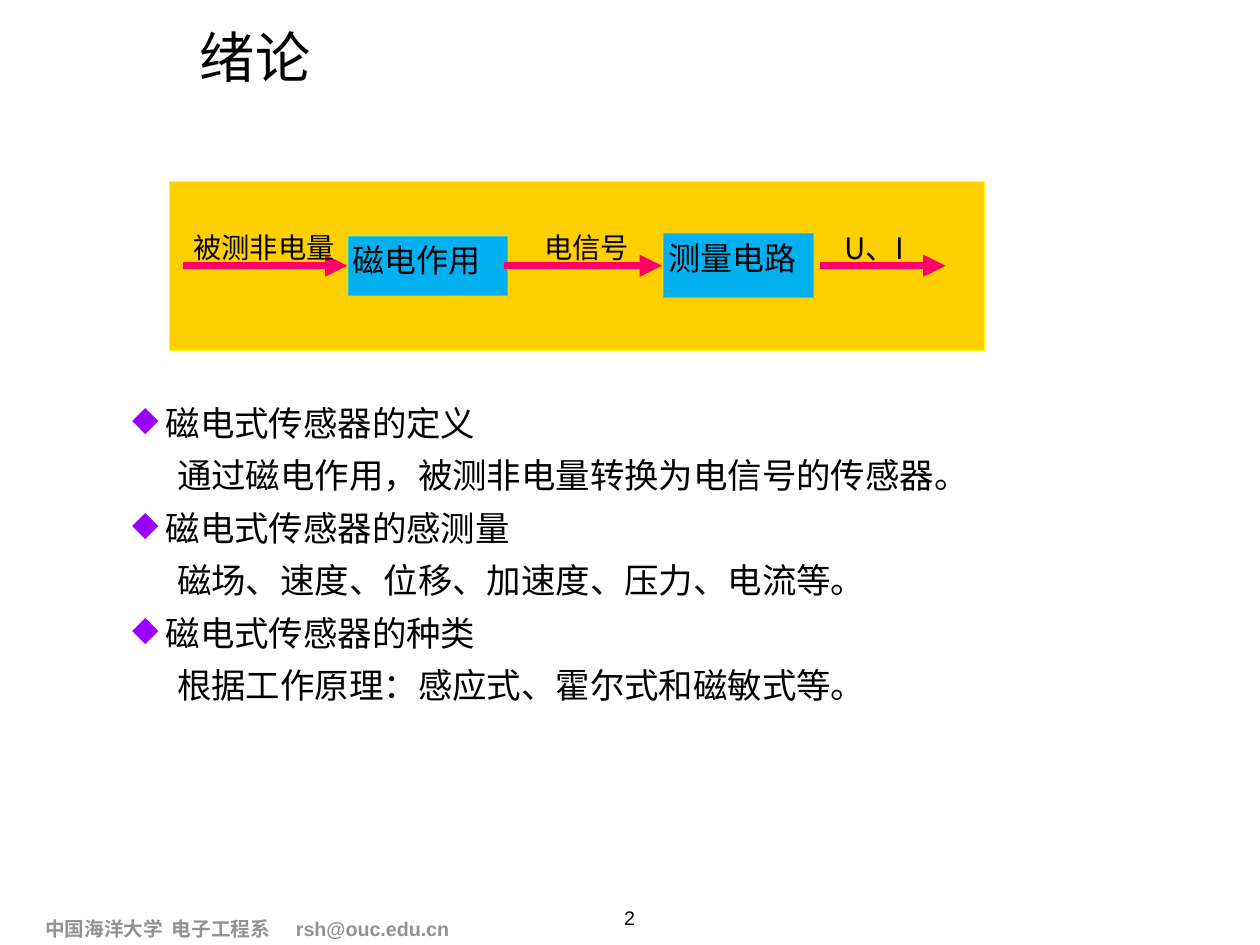
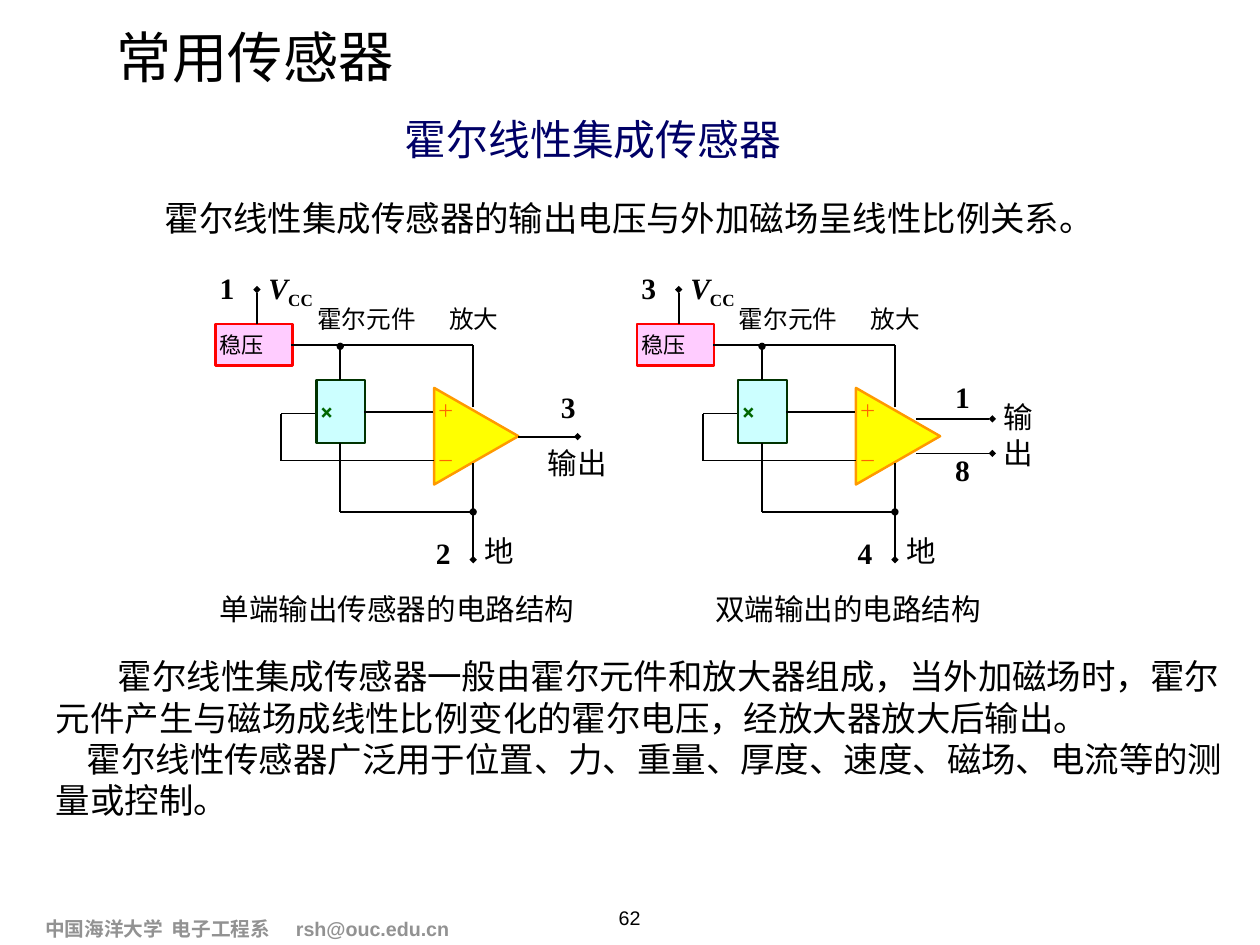
from lxml import etree
from pptx import Presentation
from pptx.dml.color import RGBColor
from pptx.enum.shapes import MSO_CONNECTOR, MSO_SHAPE
from pptx.enum.text import MSO_ANCHOR, PP_ALIGN
from pptx.oxml.ns import qn
from pptx.util import Inches, Pt

RECT, TRIANGLE = MSO_SHAPE.RECTANGLE, MSO_SHAPE.ISOSCELES_TRIANGLE
STRAIGHT = MSO_CONNECTOR.STRAIGHT
LEFT, CENTER = PP_ALIGN.LEFT, PP_ALIGN.CENTER
TOP, MIDDLE = MSO_ANCHOR.TOP, MSO_ANCHOR.MIDDLE

CJK, SANS, SERIF = "Noto Sans CJK SC", "Arial", "Times New Roman"
COLORS = {
    "text": "000000", "footer": "929292", "heading": "000066",
    "panel": "FFCF01", "panel_line": "FFFF00",
    "block": "00B0F0", "block_line": "33CCCC", "arrow": "FF0066",
    "bullet": "9900FF", "amp": "FFFF00", "amp_line": "FF9900", "sign": "FF6600",
    "hall": "CCFFFF", "hall_line": "003300", "cross": "006600",
    "regulator": "FFCCFF", "regulator_line": "FF0000",
}


def rgb(name):
    return RGBColor.from_string(COLORS[name])


class Deck:
    def __init__(self):
        self.prs = Presentation()
        self.prs.slide_width, self.prs.slide_height = Inches(14.22), Inches(10.67)
        self.s = None

    def slide(self, title, number):
        self.s = self.prs.slides.add_slide(self.prs.slide_layouts[6])
        tf = self.text(0.45, 10.3, 4.99, 0.38, "中国海洋大学\t电子工程系\trsh@ouc.edu.cn",
                       16, font=SANS, color="footer", bold=True, anchor=MIDDLE, inset=0.06)
        pPr = tf.paragraphs[0]._p.get_or_add_pPr()
        tabs = etree.SubElement(pPr, qn("a:tabLst"))
        for pos in (1.43, 2.83):
            etree.SubElement(tabs, qn("a:tab"), pos=str(Inches(pos)), algn="l")
        self.text(0.45, 0.03, 4.86, 1.2, title, 45, align=CENTER, anchor=MIDDLE,
                  inset=0.06, rotation=-0.4)
        self.text(6.92, 10.17, 0.37, 0.35, number, 16, font=SANS, align=CENTER,
                  inset=0.06, wrap=False)

    def frame(self, tf, anchor=TOP, inset=0.05, wrap=True):
        tf.word_wrap = wrap
        tf.vertical_anchor = anchor
        tf.margin_left = tf.margin_right = tf.margin_top = tf.margin_bottom = Inches(inset)

    def run(self, p, text, size, font=CJK, color="text", bold=False, italic=False, base=0):
        r = p.add_run()
        r.text = text
        f = r.font
        f.size, f.name, f.bold, f.italic = Pt(size), font, bold, italic
        f.color.rgb = rgb(color)
        rPr = r._r.get_or_add_rPr()
        etree.SubElement(rPr, qn("a:ea"), typeface=CJK)
        if base:
            rPr.set("baseline", str(base * 1000))

    def indent(self, p, first, left=0):
        pPr = p._p.get_or_add_pPr()
        pPr.set("marL", str(Inches(left)))
        pPr.set("indent", str(Inches(first)))

    def bullet(self, p, width):
        self.indent(p, -width, width)
        pPr = p._p.get_or_add_pPr()
        clr = etree.SubElement(pPr, qn("a:buClr"))
        etree.SubElement(clr, qn("a:srgbClr"), val=COLORS["bullet"])
        etree.SubElement(pPr, qn("a:buChar"), char="◆")

    def box(self, x, y, w, h, rotation=0, **frame):
        tb = self.s.shapes.add_textbox(Inches(x), Inches(y), Inches(w), Inches(h))
        tb.rotation = rotation
        self.frame(tb.text_frame, **frame)
        return tb.text_frame

    def text(self, x, y, w, h, text, size, align=LEFT, first=0, anchor=TOP,
             inset=0.05, wrap=True, rotation=0, **style):
        tf = self.box(x, y, w, h, rotation, anchor=anchor, inset=inset, wrap=wrap)
        p = tf.paragraphs[0]
        p.alignment = align
        if first:
            self.indent(p, first)
        self.run(p, text, size, **style)
        return tf

    def shape(self, kind, x, y, w, h, fill, width=1, text="", size=18, anchor=TOP,
              rotation=0, **style):
        sp = self.s.shapes.add_shape(kind, Inches(x), Inches(y), Inches(w), Inches(h))
        sp.shadow.inherit = False
        sp.rotation = rotation
        sp.fill.solid()
        sp.fill.fore_color.rgb = rgb(fill)
        sp.line.color.rgb = rgb(fill + "_line")
        sp.line.width = Pt(width)
        if text:
            self.frame(sp.text_frame, anchor)
            p = sp.text_frame.paragraphs[0]
            p.alignment = LEFT
            self.run(p, text, size, **style)

    def line(self, x1, y1, x2, y2, head="", tail="", color="text", width=1.5):
        c = self.s.shapes.add_connector(STRAIGHT, Inches(x1), Inches(y1), Inches(x2), Inches(y2))
        c.line.color.rgb = rgb(color)
        c.line.width = Pt(width)
        ln = c.line._get_or_add_ln()
        for tag, kind in (("a:headEnd", head), ("a:tailEnd", tail)):
            if kind:
                etree.SubElement(ln, qn(tag), type=kind)
        etree.SubElement(c._element.spPr, qn("a:effectLst"))

    def pin(self, x, y, number):
        self.text(x, y, 0.47, 0.46, number, 24, font=SERIF, bold=True)

    def circuit(self, dx, supply, ground):
        self.shape(TRIANGLE, 4.83 + dx, 4.45, 1.09, 0.95, "amp", 2, rotation=90)
        for y, sign in ((5.08, "－"), (4.52, "＋")):
            self.text(4.94 + dx, y, 0.27, 0.28, sign, 14, color="sign", inset=0)
        self.shape(RECT, 3.57 + dx, 4.29, 0.55, 0.71, "hall", 2, "×",
                   anchor=MIDDLE, font="Roboto", color="cross", bold=True)
        self.shape(RECT, 2.43 + dx, 3.66, 0.87, 0.47, "regulator", 2, "稳压", anchor=MIDDLE)
        for x1, y1, x2, y2, *ends in (
            (4.9, 5.2, 3.17, 5.2),
            (4.89, 4.65, 4.11, 4.65),
            (5.34, 3.9, 3.29, 3.9),
            (3.84, 4.29, 3.84, 3.91, "", "oval"),
            (5.34, 4.6, 5.34, 3.9),
            (5.34, 5.78, 5.34, 5.23),
            (5.34, 5.78, 3.84, 5.78),
            (3.84, 5.78, 3.84, 5),
            (3.56, 4.67, 3.17, 4.67),
            (3.17, 5.2, 3.17, 4.67),
            (5.34, 6.32, 5.34, 5.78, "diamond", "oval"),
            (2.9, 3.66, 2.9, 3.27, "", "diamond"),
        ):
            self.line(x1 + dx, y1, x2 + dx, y2, *ends)
        p = self.box(2.98 + dx, 3, 0.79, 0.52).paragraphs[0]
        self.run(p, "V", 24, SERIF, bold=True, italic=True)
        self.run(p, "CC", 24, SERIF, bold=True, base=-25)
        self.pin(2.43 + dx, 3, supply)
        self.pin(4.87 + dx, 5.99, ground)
        self.text(5.42 + dx, 5.97, 0.47, 0.56, "地", 24)
        self.text(3.53 + dx, 3.38, 1.34, 0.49, "霍尔元件", 20)
        self.text(5.02 + dx, 3.38, 0.94, 0.49, "放大", 20)


def introduction(d):
    d.slide("绪论", "2")
    d.shape(RECT, 1.91, 2.05, 9.2, 1.91, "panel")
    d.shape(RECT, 3.93, 2.67, 1.8, 0.67, "block", text="磁电作用", size=26)
    d.shape(RECT, 7.49, 2.64, 1.69, 0.72, "block", text="测量电路", size=26)
    for x1, x2 in ((2.07, 3.92), (5.69, 7.47), (9.25, 10.67)):
        d.line(x1, 3, x2, 3, tail="triangle", color="arrow", width=6)
    for x, w, label, size, first in (
        (2.06, 2.36, "被测非电量", 23, 0.07),
        (6.09, 2.12, "电信号", 23, 0),
        (9.48, 1.68, "U、I", 24, 0),
    ):
        d.text(x, 2.55, w, 0.66, label, size, first=first)

    tf = d.box(1.44, 4.49, 11.34, 4.08)
    for i, (topic, detail) in enumerate((
        ("磁电式传感器的定义", "通过磁电作用，被测非电量转换为电信号的传感器。"),
        ("磁电式传感器的感测量", "磁场、速度、位移、加速度、压力、电流等。"),
        ("磁电式传感器的种类", "根据工作原理：感应式、霍尔式和磁敏式等。"),
    )):
        p = tf.add_paragraph() if i else tf.paragraphs[0]
        if i:
            p.space_before = Pt(9)
        d.bullet(p, 0.38)
        d.run(p, topic, 28, SANS)
        p = tf.add_paragraph()
        p.space_before = Pt(9)
        d.indent(p, 0, 0.51)
        d.run(p, detail, 28, SANS)


def hall_sensors(d):
    d.slide("常用传感器", "62")
    d.text(4.52, 1.24, 5.91, 0.77, "霍尔线性集成传感器", 34, color="heading")
    d.text(1.11, 2.18, 11.5, 0.66, "霍尔线性集成传感器的输出电压与外加磁场呈线性比例关系。",
           28, first=0.7)

    d.circuit(0, "1", "2")
    d.line(5.85, 4.93, 6.52, 4.93, tail="diamond")
    d.pin(6.28, 4.34, "3")
    d.text(6.13, 4.97, 0.94, 0.56, "输出", 24)
    d.text(2.43, 6.62, 4.25, 0.56, "单端输出传感器的电路结构", 24)

    d.circuit(4.76, "3", "4")
    for line_y, pin_y, number in ((4.73, 4.23, "1"), (5.12, 5.05, "8")):
        d.line(10.34, line_y, 11.2, line_y, tail="diamond")
        d.pin(10.73, pin_y, number)
    d.text(11.28, 4.46, 0.51, 1.02, "输出", 24)
    d.text(8.02, 6.62, 3.31, 0.56, "双端输出的电路结构", 24)

    tf = d.box(0.58, 7.35, 13.43, 1.99)
    for i, (first, text) in enumerate((
        (0.7, "霍尔线性集成传感器一般由霍尔元件和放大器组成，当外加磁场时，霍尔元件产生与"
              "磁场成线性比例变化的霍尔电压，经放大器放大后输出。"),
        (0.35, "霍尔线性传感器广泛用于位置、力、重量、厚度、速度、磁场、电流等的测量或控制。"),
    )):
        p = tf.add_paragraph() if i else tf.paragraphs[0]
        d.indent(p, first)
        d.run(p, text, 28)


def main():
    d = Deck()
    introduction(d)
    hall_sensors(d)
    d.prs.save("out.pptx")


if __name__ == "__main__":
    main()
